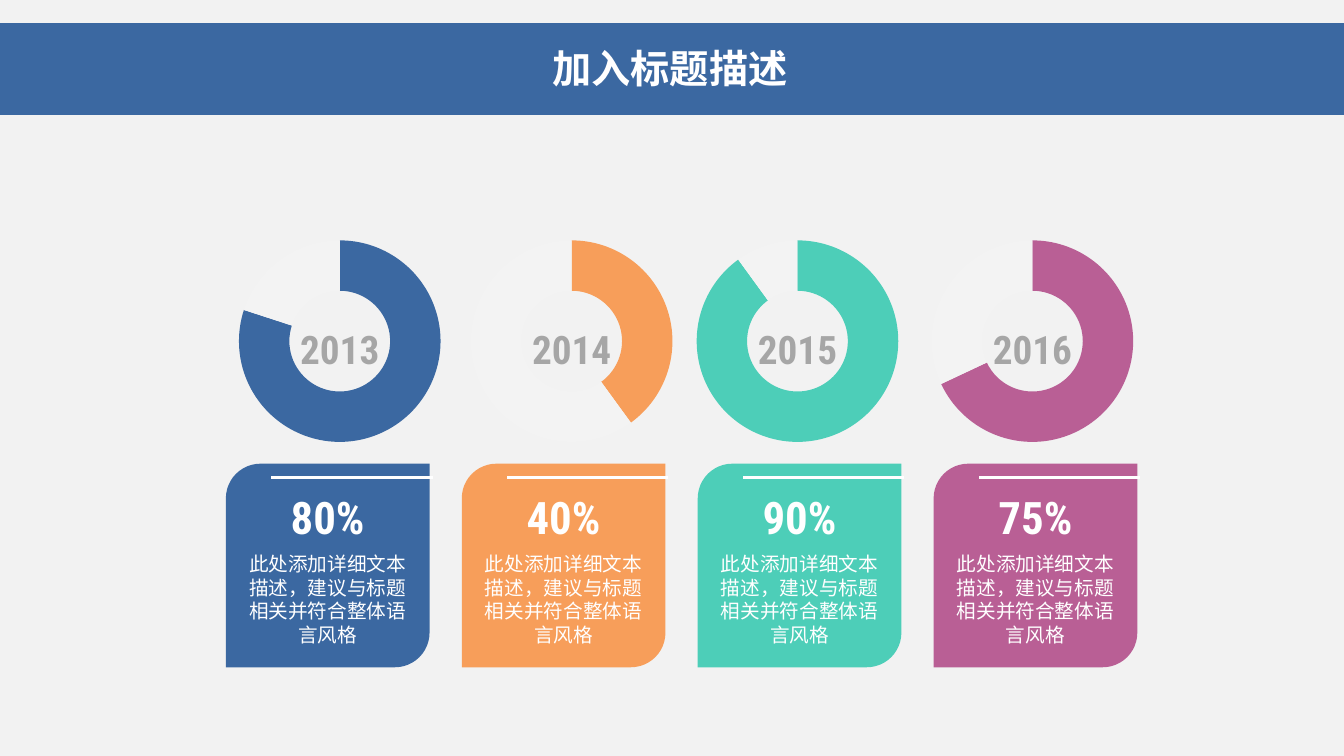
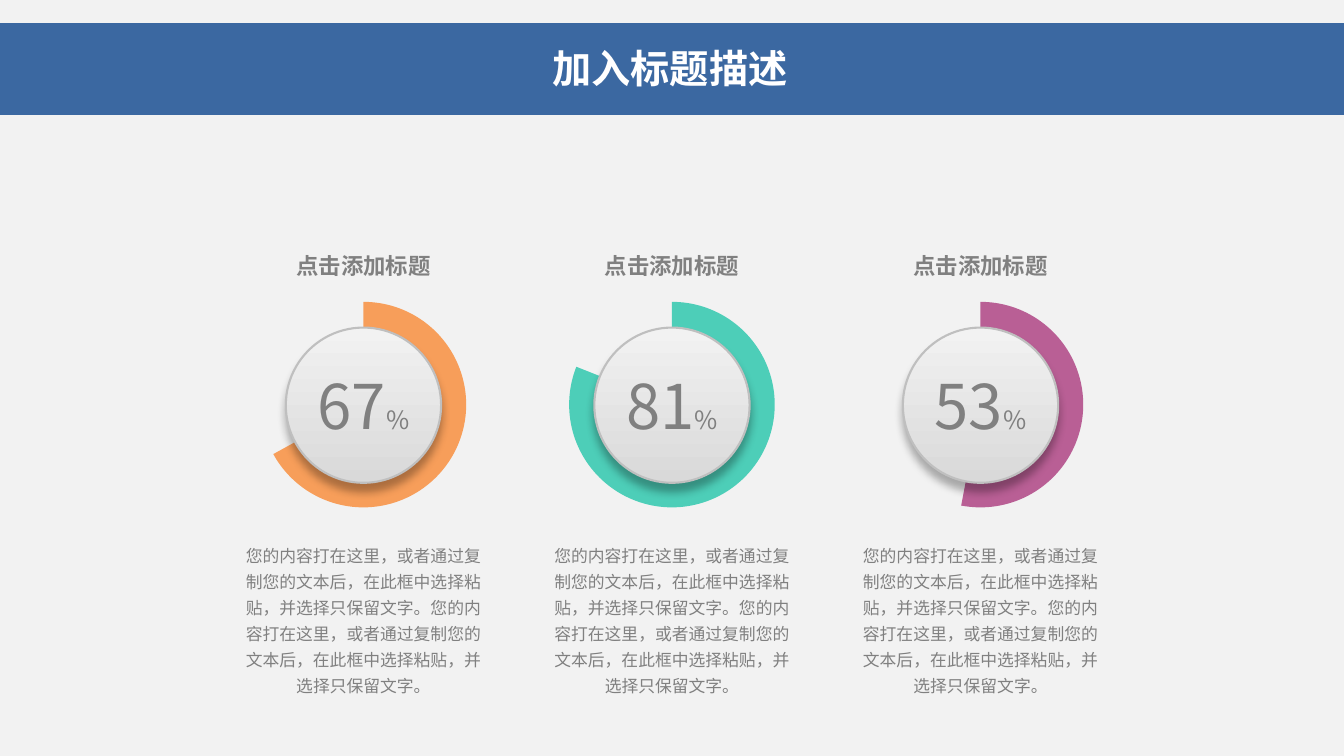
import pptx
import pptx.util
import pptx.dml.color
import pptx.chart.data
import pptx.enum.chart
import pptx.enum.shapes
import pptx.enum.text
import pptx.oxml
import pptx.oxml.ns
import lxml.etree
from dataclasses import dataclass

Inches, Pt = pptx.util.Inches, pptx.util.Pt
SHAPE = pptx.enum.shapes.MSO_SHAPE
ANCHOR = pptx.enum.text.MSO_ANCHOR
qn = pptx.oxml.ns.qn

# Content
TITLE = "加入标题描述"
CARD_TEXT = "此处添加详细文本描述，建议与标题相关并符合整体语言风格"
# year, ring value, label, colour, centre of the ring
YEARS = [
    ("2013", 80, "80%", "3B68A1", 3.37),
    ("2014", 40, "40%", "F79E5A", 5.67),
    ("2015", 90, "90%", "4DCEB8", 7.91),
    ("2016", 68, "75%", "B95F95", 10.24),
]
DIAL_TITLE = "点击添加标题"
DIAL_TEXT = "您的内容打在这里，或者通过复制您的文本后，在此框中选择粘贴，并选择只保留文字。" * 2
DIALS = [(67, "F79E5A"), (81, "4DCEB8"), (53, "B95F95")]


@dataclass(frozen=True)
class Theme:
    width: float = 13.33
    height: float = 7.5
    page: str = "F2F2F2"
    band: str = "3B68A1"
    white: str = "FFFFFF"
    rest: str = "F3F3F3"
    year: str = "A6A6A6"
    grey: str = "808080"
    rim: str = "BFBFBF"
    dial_low: str = "D9D9D9"
    cjk: str = "Noto Sans CJK SC"
    figures: str = "Roboto Condensed"
    body: str = "Arial"
    chart: str = "Calibri"
    title_size: int = 28
    year_size: int = 28
    percent_size: int = 32
    card_size: int = 14
    dial_size: int = 44
    unit_size: int = 18
    heading_size: int = 16
    note_size: int = 12
    chart_size: int = 18


T = Theme()


# Shared helpers
def rgb(colour):
    return pptx.dml.color.RGBColor.from_string(colour)


def box(left, top, width, height):
    return [Inches(v) for v in (left, top, width, height)]


def centred(middle, top, width, height):
    return box(middle - width / 2, top, width, height)


def style_run(run, size, font, colour, bold=False):
    run.font.size, run.font.name, run.font.bold = Pt(size), font, bold
    run.font.color.rgb = rgb(colour)
    east_asian = pptx.oxml.parse_xml(
        f'<a:ea {pptx.oxml.ns.nsdecls("a")} typeface="{T.cjk}"/>')
    run.font._element.find(qn("a:latin")).addnext(east_asian)


def set_frame(frame, insets, anchor=ANCHOR.TOP):
    frame.word_wrap = True
    frame.auto_size = pptx.enum.text.MSO_AUTO_SIZE.NONE
    frame.vertical_anchor = anchor
    (frame.margin_left, frame.margin_top,
     frame.margin_right, frame.margin_bottom) = box(*insets)


def write(frame, text, style, insets=(0, 0.05, 0, 0), spacing=None):
    set_frame(frame, insets)
    frame.text = text
    paragraph = frame.paragraphs[0]
    paragraph.alignment = pptx.enum.text.PP_ALIGN.CENTER
    if spacing:
        paragraph.line_spacing = spacing
    style_run(paragraph.runs[0], *style)


def add_text(slide, place, *args, **options):
    write(slide.shapes.add_textbox(*place).text_frame, *args, **options)


def add_solid(slide, preset, place, colour):
    shape = slide.shapes.add_shape(preset, *place)
    shape.shadow.inherit = False
    shape.fill.solid()
    shape.fill.fore_color.rgb = rgb(colour)
    shape.line.fill.background()
    return shape


def new_slide(prs):
    slide = prs.slides.add_slide(prs.slide_layouts[5])
    band = add_solid(slide, SHAPE.RECTANGLE, box(0, 0.23, T.width, 0.91), T.band)
    title = slide.shapes.title
    title.element.addprevious(band.element)
    title.left, title.top, title.width, title.height = box(-0.75, 0.4, 14.79, 0.64)
    write(title.text_frame, TITLE, (T.title_size, T.cjk, T.white, True),
          insets=(0.07, 0.04, 0.07, 0.04))
    return slide


def add_ring(slide, middle, top, size, diameter, values, colours, hole):
    data = pptx.chart.data.CategoryChartData()
    data.categories = [str(n + 1) for n in range(len(values))]
    data.add_series("Series 1", values)
    chart = slide.shapes.add_chart(
        pptx.enum.chart.XL_CHART_TYPE.DOUGHNUT,
        *centred(middle, top, *size), data).chart
    chart.has_legend = chart.has_title = False
    chart.font.size, chart.font.name = Pt(T.chart_size), T.chart
    chart.font.color.rgb = rgb("000000")
    plot = chart.plots[0]
    plot.vary_by_categories = True
    for index, colour in enumerate(colours):
        part = plot.series[0].points[index].format
        part.line.fill.background()
        if colour:
            part.fill.solid()
            part.fill.fore_color.rgb = rgb(colour)
        else:
            part.fill.background()

    # Hole size and a fixed, centred plot area
    area = chart.element.find(".//" + qn("c:plotArea"))
    area.find(".//" + qn("c:holeSize")).set("val", str(hole))
    for old in area.findall(qn("c:layout")):
        area.remove(old)
    shares = [diameter / side for side in size]
    layout = lxml.etree.Element(qn("c:layout"))
    manual = lxml.etree.SubElement(layout, qn("c:manualLayout"))
    settings = [("layoutTarget", "inner"), ("xMode", "edge"), ("yMode", "edge"),
                ("x", (1 - shares[0]) / 2), ("y", (1 - shares[1]) / 2),
                ("w", shares[0]), ("h", shares[1])]
    for tag, value in settings:
        lxml.etree.SubElement(manual, qn("c:" + tag)).set("val", str(value))
    area.insert(0, layout)


# Slide 1: a ring and a card for each year
def add_rule(slide, right, y, length):
    rule = slide.shapes.add_connector(
        pptx.enum.shapes.MSO_CONNECTOR.STRAIGHT,
        Inches(right - length), Inches(y), Inches(right), Inches(y))
    rule.line.color.rgb = rgb(T.white)
    rule.line.width = Pt(2)
    lxml.etree.SubElement(rule.element.spPr, qn("a:effectLst"))


def build_years(prs):
    slide = new_slide(prs)
    side, first, pitch, top = 2.02, 3.25, 2.34, 4.6
    for column, (year, value, label, colour, ring) in enumerate(YEARS):
        add_ring(slide, ring, 2.25, (2.29, 2.27), 2,
                 (value, 100 - value, None, None), (colour, T.rest), 70)
        add_text(slide, centred(ring, 3.18, 1.17, 0.52), year,
                 (T.year_size, T.figures, T.year, True))

        middle = first + column * pitch
        card = add_solid(slide, SHAPE.ROUND_2_DIAG_RECTANGLE,
                         centred(middle, top, side, side), colour)
        card.adjustments[0], card.adjustments[1] = 0.17, 0
        add_text(slide, centred(middle, top + 0.21, 1.41, 0.59), label,
                 (T.percent_size, T.figures, T.white, True))
        add_text(slide, centred(middle, top + 0.83, 1.7, 0.99), CARD_TEXT,
                 (T.card_size, T.body, T.white))
        add_rule(slide, middle + side / 2 + 0.03, top + 0.14, 1.6)


# Slide 2: three dials
def add_dial(slide, middle, value):
    dial = slide.shapes.add_shape(SHAPE.OVAL, *centred(middle, 3.25, 1.54, 1.54))
    dial.fill.gradient()
    dial.fill.gradient_angle = 90
    for stop, colour in zip(dial.fill.gradient_stops, (T.dial_low, T.page)):
        stop.color.rgb = rgb(colour)
    dial.line.color.rgb = rgb(T.rim)
    dial.line.width = Pt(1.5)
    dial.element.spPr.append(pptx.oxml.parse_xml(
        f'<a:effectLst {pptx.oxml.ns.nsdecls("a")}>'
        f'<a:outerShdw blurRad="{Pt(6)}" dist="{Pt(6)}" dir="5400000" rotWithShape="0">'
        '<a:srgbClr val="000000"><a:alpha val="30000"/></a:srgbClr>'
        '</a:outerShdw></a:effectLst>'))

    frame = dial.text_frame
    write(frame, str(value), (T.dial_size, T.cjk, T.grey))
    set_frame(frame, (0, 0.05, 0, 0.05), ANCHOR.MIDDLE)
    unit = frame.paragraphs[0].add_run()
    unit.text = "%"
    style_run(unit, T.unit_size, T.cjk, T.grey)


def build_dials(prs):
    slide = new_slide(prs)
    pitch = 3.06
    for column, (value, colour) in enumerate(DIALS):
        middle = T.width / 2 + (column - 1) * pitch
        add_ring(slide, middle, 2.86, (2.59, 2.31), 2.04,
                 (value, 100 - value), (colour, None), 78)
        add_dial(slide, middle, value)
        add_text(slide, centred(middle, 2.37, 1.54, 0.36), DIAL_TITLE,
                 (T.heading_size, T.cjk, T.grey, True),
                 insets=(0.1, 0, 0.1, 0), spacing=1.5)
        add_text(slide, centred(middle, 5.3, 2.57, 1.68), DIAL_TEXT,
                 (T.note_size, T.cjk, T.grey),
                 insets=(0.1, 0.05, 0.1, 0.05), spacing=1.3)


def main():
    prs = pptx.Presentation()
    prs.slide_width, prs.slide_height = Inches(T.width), Inches(T.height)
    background = prs.slide_master.background.fill
    background.solid()
    background.fore_color.rgb = rgb(T.page)
    build_years(prs)
    build_dials(prs)
    prs.save("out.pptx")


if __name__ == "__main__":
    main()
